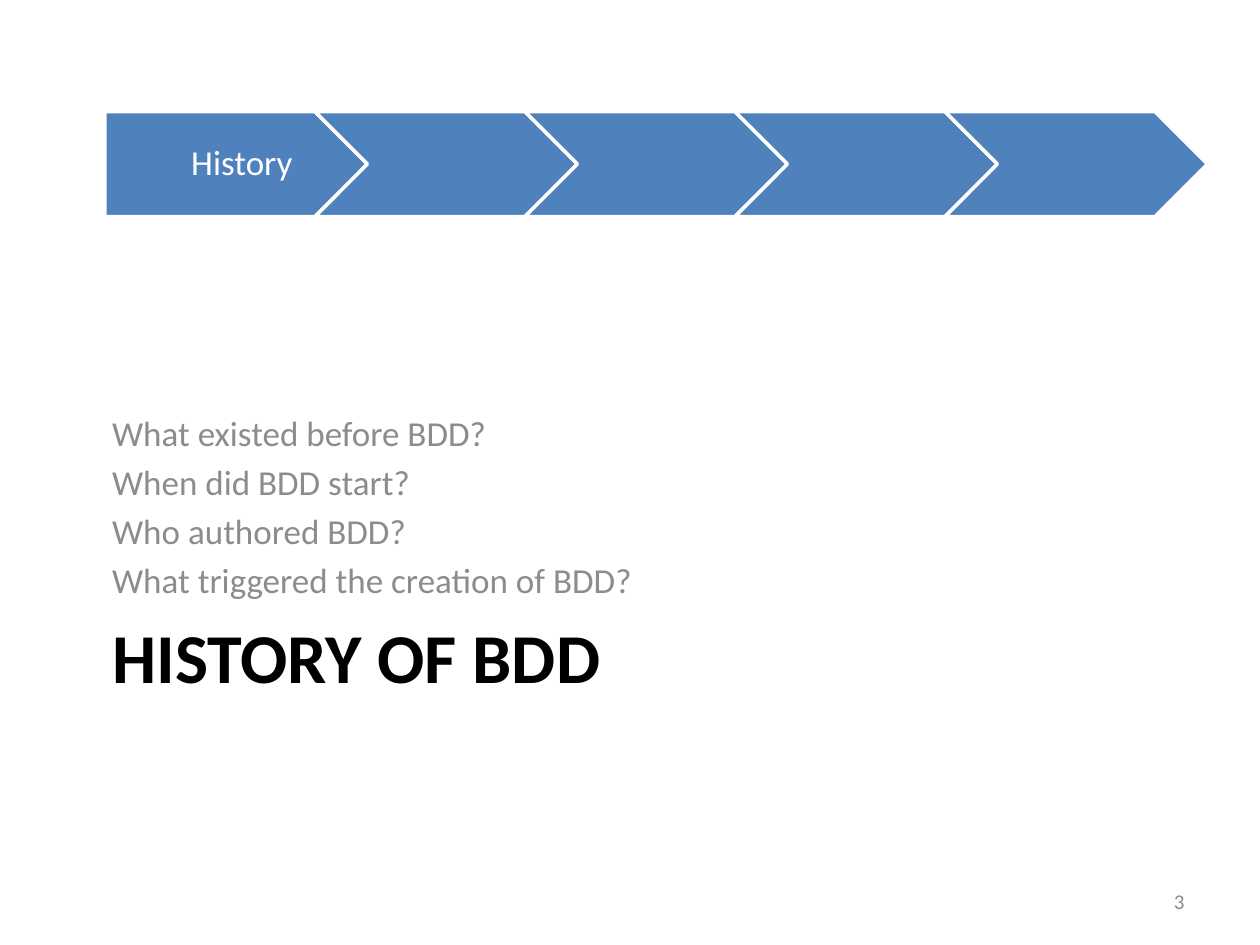
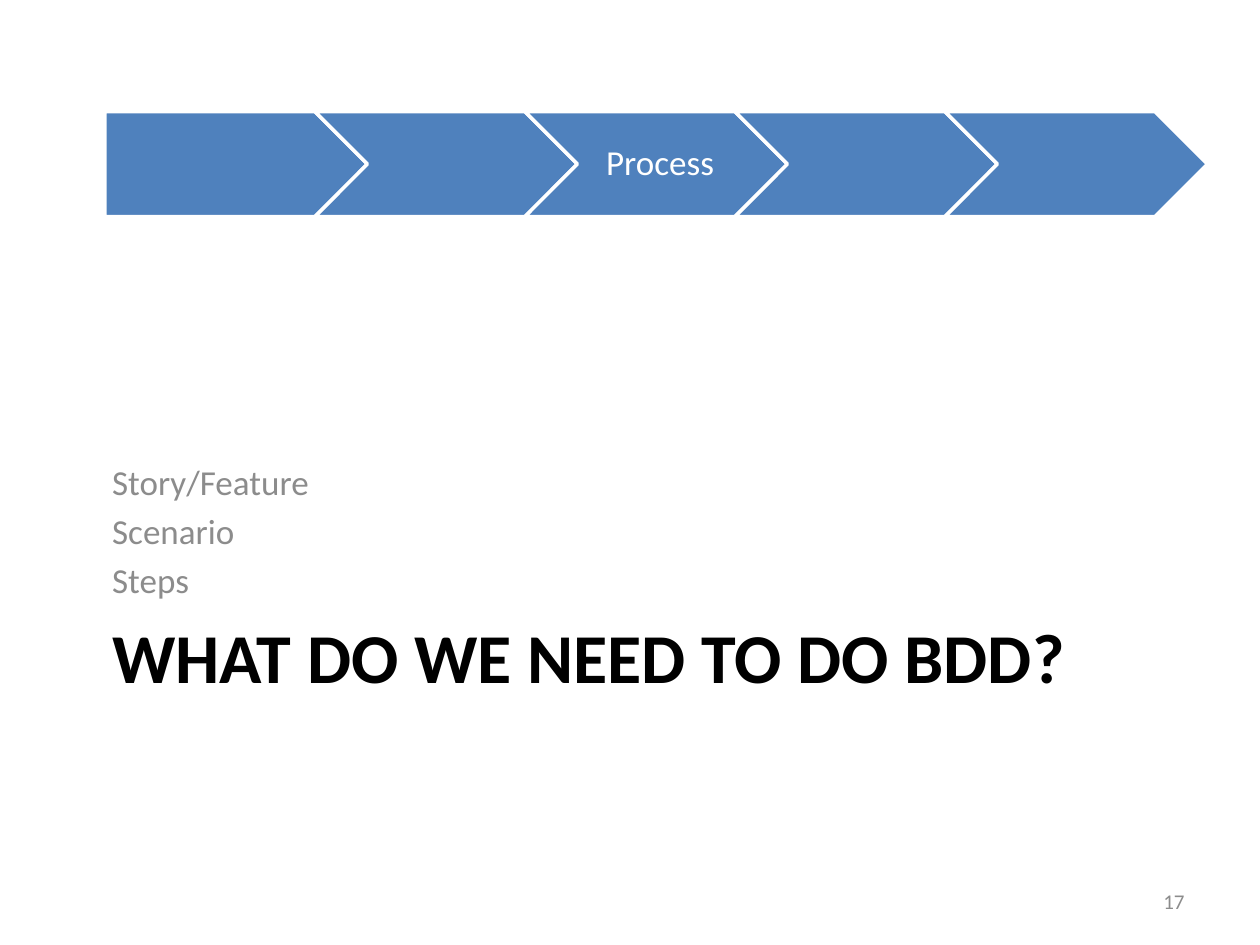
from pptx import Presentation
from pptx.dml.color import RGBColor
from pptx.enum import shapes, text
from pptx.util import Pt

COLORS = {
    "band": "4F81BD",
    "white": "FFFFFF",
    "title": "000000",
    "muted": "8C8C8C",
}
FONT = "Calibri"
STEPS = ["History", "Definition", "Process", "Benefits", "Demo"]
STEP_WIDTH, STEP_PITCH = 150, 120

STEPS_BOX = (60, 63.75, 630, 60)
TITLE_BOX = (57, 347, 612, 107.25)
QUESTIONS_BOX = (57, 228.5, 612, 118)
NUMBER_BOX = (516, 500.5, 168, 28.75)

SECTIONS = [
    ("History", "HISTORY OF BDD",
     ["What existed before BDD?", "When did BDD start?",
      "Who authored BDD?", "What triggered the creation of BDD?"], "3"),
    ("Process", "WHAT DO WE NEED TO DO BDD?",
     ["Story/Feature", "Scenario", "Steps"], "17"),
]


def color(name):
    return RGBColor.from_string(COLORS[name])


def style(paragraph, size, color_name, align=text.PP_ALIGN.LEFT, bold=False):
    paragraph.alignment = align
    paragraph.font.name = FONT
    paragraph.font.size = Pt(size)
    paragraph.font.bold = bold
    paragraph.font.color.rgb = color(color_name)


def set_frame(frame, anchor, left=7.2, right=7.2, top=3.6, bottom=3.6, wrap=True):
    frame.word_wrap = wrap
    frame.auto_size = text.MSO_AUTO_SIZE.NONE
    frame.vertical_anchor = anchor
    frame.margin_left, frame.margin_right = Pt(left), Pt(right)
    frame.margin_top, frame.margin_bottom = Pt(top), Pt(bottom)


def label_step(shape, step, first):
    set_frame(shape.text_frame, text.MSO_ANCHOR.MIDDLE,
              left=23 if first else 4.5, right=1.5 if first else 0, wrap=False)
    paragraph = shape.text_frame.paragraphs[0]
    paragraph.text = step
    paragraph.line_spacing = 0.9
    style(paragraph, 20, "white", text.PP_ALIGN.CENTER)


def add_steps(slide, box, active):
    left, top, _, height = box
    group = slide.shapes.add_group_shape()
    for index, step in enumerate(STEPS):
        first = index == 0
        kind = shapes.MSO_SHAPE.PENTAGON if first else shapes.MSO_SHAPE.CHEVRON
        shape = group.shapes.add_shape(
            kind, Pt(left + index * STEP_PITCH), Pt(top), Pt(STEP_WIDTH), Pt(height))
        shape.shadow.inherit = False
        shape.fill.solid()
        shape.fill.fore_color.rgb = color("band")
        shape.line.color.rgb = color("white")
        shape.line.width = Pt(2)
        if step == active:
            label_step(shape, step, first)


def set_title(slide, box, title):
    shape = slide.shapes.title
    shape.left, shape.top, shape.width, shape.height = map(Pt, box)
    set_frame(shape.text_frame, text.MSO_ANCHOR.TOP)
    shape.text_frame.text = title
    style(shape.text_frame.paragraphs[0], 40, "title", bold=True)


def add_questions(slide, box, questions):
    frame = slide.shapes.add_textbox(*map(Pt, box)).text_frame
    set_frame(frame, text.MSO_ANCHOR.BOTTOM)
    for index, question in enumerate(questions):
        paragraph = frame.add_paragraph() if index else frame.paragraphs[0]
        paragraph.text = question
        paragraph.space_before = Pt(4 if index else 0)
        style(paragraph, 20, "muted")


def add_number(slide, box, number):
    frame = slide.shapes.add_textbox(*map(Pt, box)).text_frame
    set_frame(frame, text.MSO_ANCHOR.MIDDLE)
    frame.text = number
    style(frame.paragraphs[0], 12, "muted", text.PP_ALIGN.RIGHT)


def add_section(presentation, active, title, questions, number):
    slide = presentation.slides.add_slide(presentation.slide_layouts[5])
    set_title(slide, TITLE_BOX, title)
    add_questions(slide, QUESTIONS_BOX, questions)
    add_steps(slide, STEPS_BOX, active)
    add_number(slide, NUMBER_BOX, number)


def main():
    presentation = Presentation()
    presentation.slide_width, presentation.slide_height = Pt(720), Pt(540)
    for section in SECTIONS:
        add_section(presentation, *section)
    presentation.save("out.pptx")


if __name__ == "__main__":
    main()
